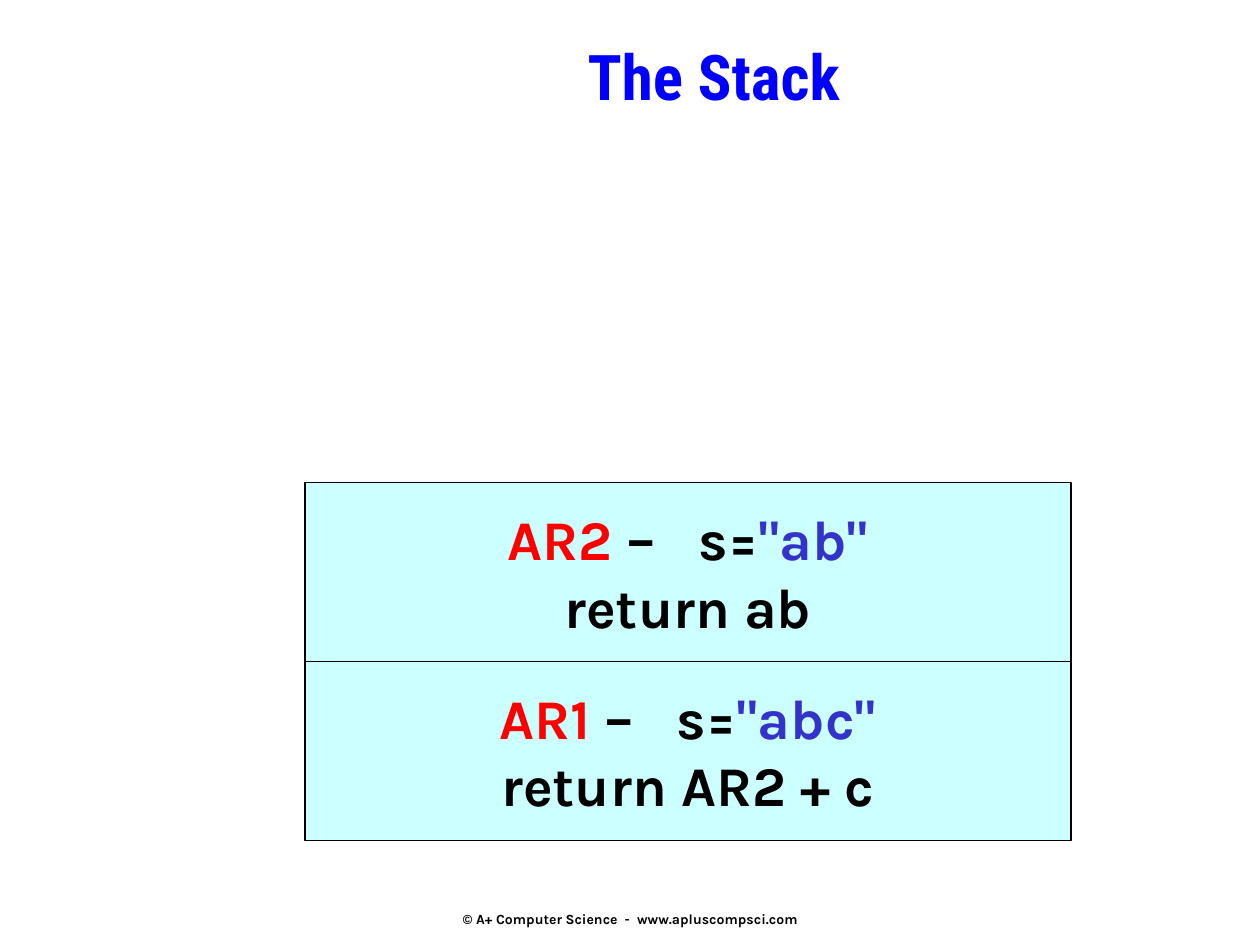
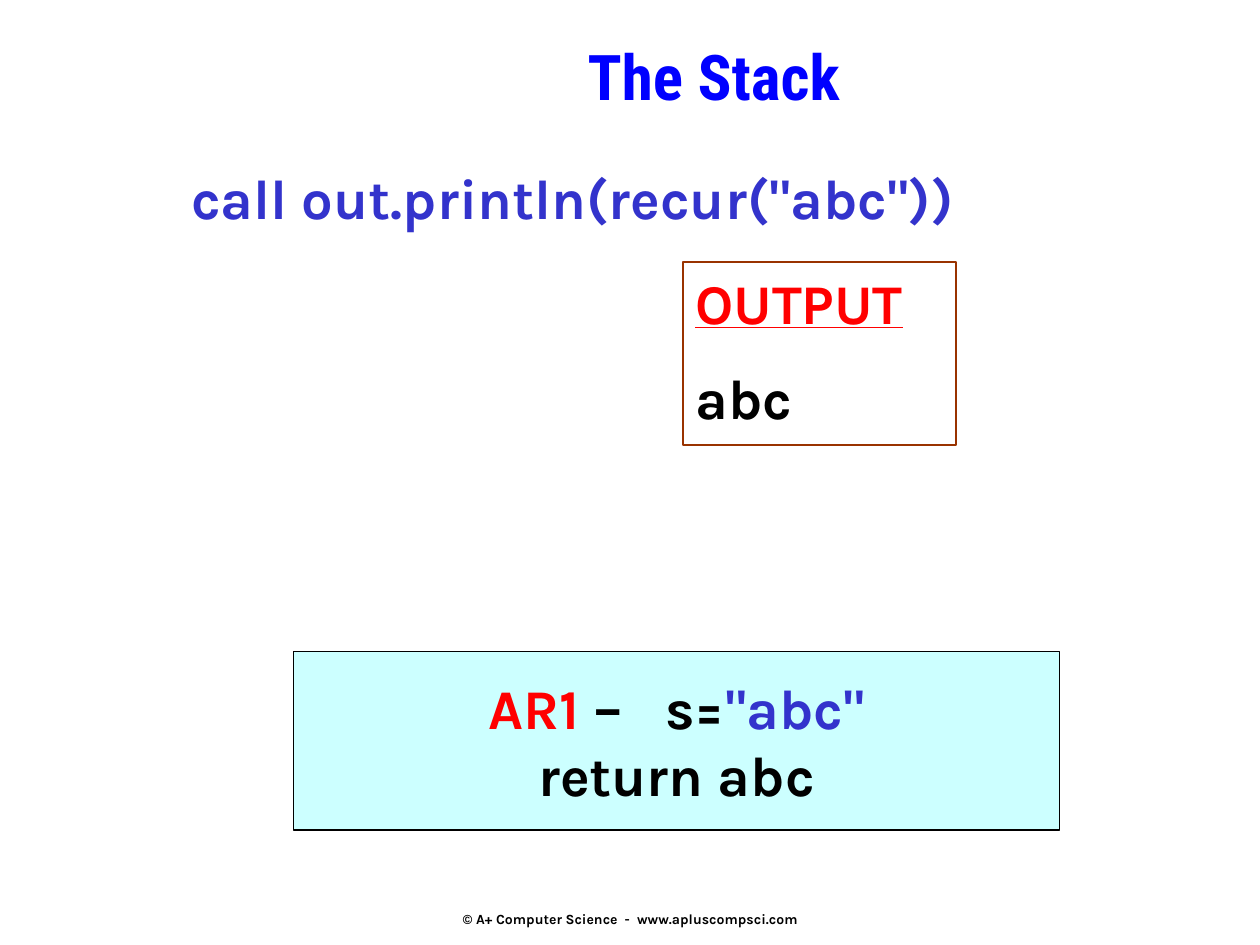
"""Build two slides that show the call stack of a recursive string method."""
import pptx
import pptx.dml.color
import pptx.enum.shapes
import pptx.enum.text
import pptx.util

Inches = pptx.util.Inches
Pt = pptx.util.Pt
ALIGN = pptx.enum.text.PP_ALIGN
ANCHOR = pptx.enum.text.MSO_ANCHOR

BLACK = "000000"
RED = "FF0000"
TITLE_BLUE = "0000FF"
STRING_BLUE = "3333CC"
FRAME_FILL = "CCFFFF"
OUTPUT_LINE = "993300"
FRAME_WIDTH = 6.08
FRAME_HEIGHT = 1.42


def color(hex_code):
    """Turn a hex string into a colour."""
    return pptx.dml.color.RGBColor.from_string(hex_code)


def add_box(slide, bounds, lines, size=32, font="Karla", align=ALIGN.LEFT,
            anchor=ANCHOR.TOP, fill=None, outline=None):
    """Add a box whose lines are lists of (text, colour) pieces."""
    bounds = [Inches(length) for length in bounds]
    if outline:
        shape = slide.shapes.add_shape(pptx.enum.shapes.MSO_SHAPE.RECTANGLE, *bounds)
        shape.shadow.inherit = False
        shape.line.color.rgb = color(outline)
        shape.line.width = Pt(1)
    else:
        shape = slide.shapes.add_textbox(*bounds)
    if fill:
        shape.fill.solid()
        shape.fill.fore_color.rgb = color(fill)
    else:
        shape.fill.background()
    text_frame = shape.text_frame
    text_frame.word_wrap = True
    text_frame.vertical_anchor = anchor
    for number, pieces in enumerate(lines):
        paragraph = text_frame.add_paragraph() if number else text_frame.paragraphs[0]
        paragraph.alignment = align
        for text, text_color in pieces:
            run = paragraph.add_run()
            run.text = text
            run.font.name = font
            run.font.size = Pt(size)
            run.font.bold = True
            run.font.color.rgb = color(text_color)
    return shape


presentation = pptx.Presentation()
presentation.slide_width = Inches(10)
presentation.slide_height = Inches(7.5)

stacks = [
    (2.42, 5.25, [("AR1", '"abc"', "return AR2 + c"), ("AR2", '"ab"', "return ab")]),
    (2.33, 5.17, [("AR1", '"abc"', "return abc")]),
]

for left, bottom_frame_top, records in stacks:
    slide = presentation.slides.add_slide(presentation.slide_layouts[6])
    add_box(slide, (3.42, 7.04, 3.17, 0.5),
            [[("© A+ Computer Science  -  www.apluscompsci.com", BLACK)]],
            size=8, align=ALIGN.CENTER, anchor=ANCHOR.MIDDLE)
    for level, (record, argument, result) in enumerate(records):
        top = bottom_frame_top - level * FRAME_HEIGHT
        add_box(slide, (left, top, FRAME_WIDTH, FRAME_HEIGHT),
                [[(record, RED), (" –   s=", BLACK), (argument, STRING_BLUE)],
                 [(result, BLACK)]],
                align=ALIGN.CENTER, anchor=ANCHOR.MIDDLE,
                fill=FRAME_FILL, outline=BLACK)
    add_box(slide, (2.33, 0.25, 6.67, 0.58), [[("The Stack", TITLE_BLUE)]],
            size=36, font="Roboto Condensed", align=ALIGN.CENTER)

output_box = add_box(slide, (5.42, 2.08, 2.17, 1.45),
                     [[("OUTPUT", RED)], [("abc", BLACK)]], outline=OUTPUT_LINE)
heading, printed = output_box.text_frame.paragraphs
heading.runs[0].font.underline = True
printed.space_before = Pt(16)
add_box(slide, (1.42, 1.25, 7.08, 0.63),
        [[('call out.println(recur("abc"))', STRING_BLUE)]])

presentation.save("out.pptx")
